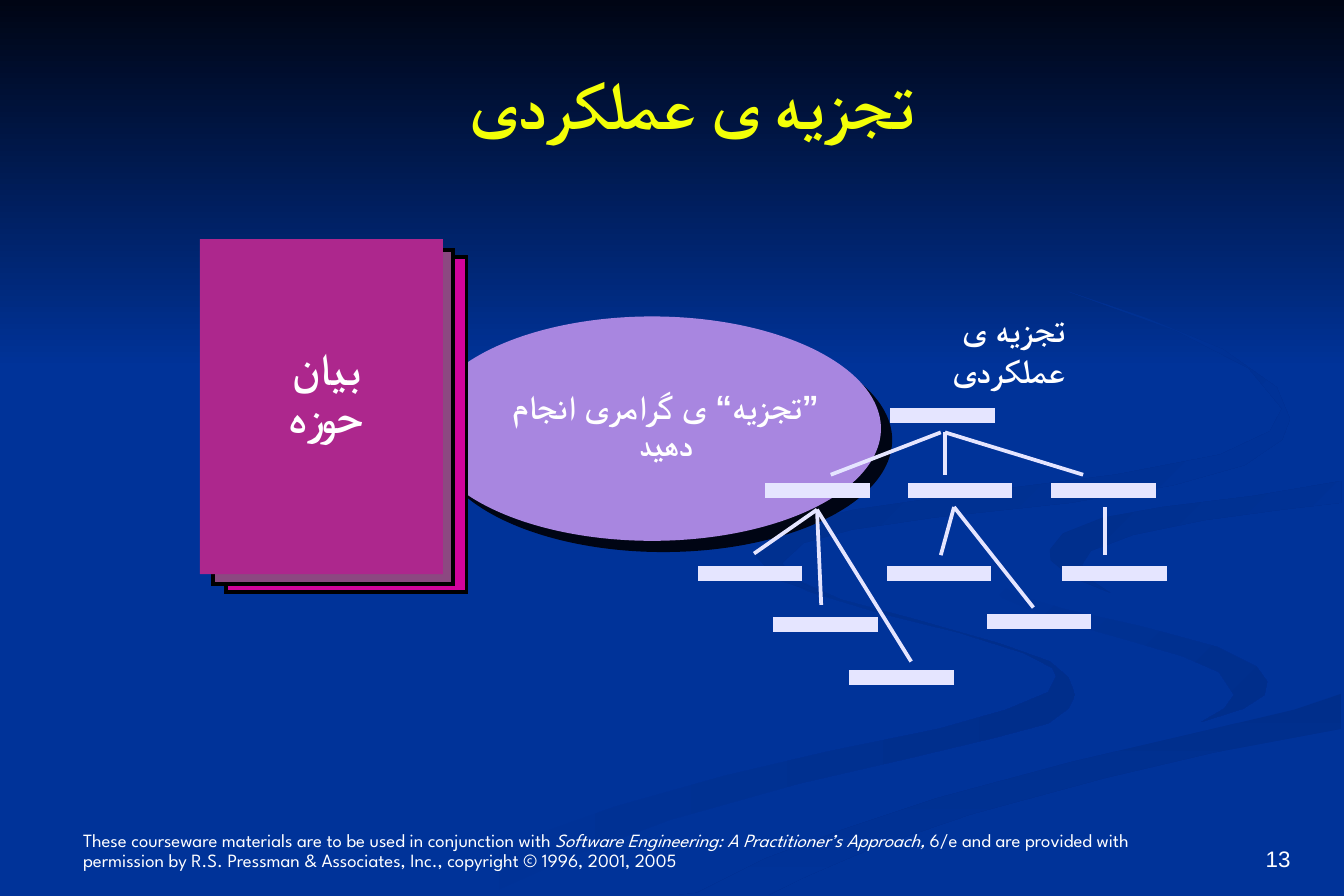
"""Build the functional decomposition slide."""
from lxml.etree import SubElement
from pptx import Presentation
from pptx.dml.color import RGBColor
from pptx.enum.shapes import MSO_CONNECTOR, MSO_SHAPE
from pptx.enum.text import MSO_ANCHOR, PP_ALIGN
from pptx.oxml.ns import qn
from pptx.util import Cm, Pt

BLUE = RGBColor(0x00, 0x33, 0x99)
NAVY = RGBColor(0x00, 0x2E, 0x8B)
NIGHT = RGBColor(0x00, 0x05, 0x14)
BLACK = RGBColor(0x00, 0x00, 0x00)
WHITE = RGBColor(0xFF, 0xFF, 0xFF)
YELLOW = RGBColor(0xF3, 0xFF, 0x07)
LILAC = RGBColor(0xA8, 0x86, 0xE0)
PALE = RGBColor(0xE5, 0xE5, 0xFF)
PINK = RGBColor(0xD1, 0x03, 0x9B)
MAUVE = RGBColor(0x8C, 0x48, 0x81)
PLUM = RGBColor(0xAD, 0x27, 0x8D)

deck = Presentation()
deck.slide_width, deck.slide_height = Cm(25.4), Cm(16.93)
slide = deck.slides.add_slide(deck.slide_layouts[6])
slide.background.fill.solid()
slide.background.fill.fore_color.rgb = BLUE
shapes = slide.shapes


def shade(shape, start, end, angle):
    shape.shadow.inherit = False
    shape.line.fill.background()
    shape.fill.gradient()
    shape.fill.gradient_angle = -angle % 360
    for stop, color in zip(shape.fill.gradient_stops, (start, end)):
        stop.color.rgb = color


def block(kind, box, color, edge=None, width=1):
    shape = shapes.add_shape(kind, *map(Cm, box))
    shape.shadow.inherit = False
    shape.fill.solid()
    shape.fill.fore_color.rgb = color
    if edge is None:
        shape.line.fill.background()
    else:
        shape.line.color.rgb = edge
        shape.line.width = Pt(width)
        SubElement(shape._element.spPr.find(qn("a:ln")), qn("a:miter"), lim="800000")
    return shape


sky = shapes.add_shape(MSO_SHAPE.RECTANGLE, 0, 0, deck.slide_width, Cm(6.96))
shade(sky, NIGHT, BLUE, 90)

swirls = [
    (BLUE, NAVY, 0, [
        (1984, 1250), (1892, 1217), (1732, 1171), (1590, 1133), (1509, 1097),
        (1471, 1069), (1461, 1039), (1448, 1062), (1463, 1085), (1529, 1118),
        (1661, 1158), (1814, 1196), (1935, 1234), (1989, 1262), (1996, 1278),
        (1981, 1308), (1902, 1341), (1775, 1377), (1565, 1420), (1369, 1466),
        (1163, 1524), (955, 1598), (762, 1692), (917, 1692), (1095, 1613),
        (1267, 1549), (1509, 1481), (1717, 1433), (1880, 1394), (1981, 1367),
        (2019, 1339), (2032, 1313), (2019, 1280)]),
    (BLUE, NAVY, 45, [
        (2395, 1288), (2375, 1260), (2299, 1222), (2159, 1184), (2012, 1151),
        (1925, 1125), (1862, 1090), (1839, 1049), (1847, 1082), (1895, 1130),
        (1984, 1168), (2129, 1209), (2235, 1240), (2304, 1270), (2332, 1313),
        (2314, 1339), (2271, 1364), (2350, 1339), (2390, 1313)]),
    (NAVY, BLUE, 90, [
        (1318, 1687), (1278, 1692), (1450, 1692), (1524, 1656), (1648, 1603),
        (1834, 1539), (2085, 1471), (2294, 1422), (2535, 1377), (2535, 1311),
        (2446, 1341), (2294, 1377), (2024, 1440), (1768, 1509), (1600, 1565),
        (1445, 1623)]),
    (NAVY, BLUE, 45, [
        (1984, 1039), (1986, 1059), (2024, 1090), (2098, 1120), (2055, 1092),
        (2045, 1067), (2062, 1041), (2141, 1011), (2276, 983), (2423, 963),
        (2535, 950), (2535, 909), (2370, 937), (2197, 958), (2085, 978),
        (2009, 1008)]),
    (NAVY, BLUE, 45, [
        (1765, 978), (2024, 950), (2217, 917), (2352, 879), (2423, 831),
        (2438, 792), (2413, 732), (2311, 660), (2169, 602), (2019, 551),
        (2223, 625), (2360, 696), (2423, 772), (2400, 815), (2306, 859),
        (2108, 897), (1831, 932), (1615, 963), (1488, 993), (1425, 1046),
        (1468, 1095), (1570, 1128), (1501, 1095), (1478, 1064), (1519, 1026),
        (1610, 1001)]),
]
for start, end, angle, points in swirls:
    pen = shapes.build_freeform(*points[0], scale=Cm(0.01))
    pen.add_line_segments(points[1:])
    shade(pen.convert_to_shape(), start, end, angle)

oval = block(MSO_SHAPE.OVAL, (8, 5.98, 8.65, 4.24), LILAC)
effect = oval._element.spPr.find(qn("a:effectLst"))
cast = SubElement(effect, qn("a:outerShdw"), dist=str(Pt(8.5)),
                  dir="2700000", algn="ctr", rotWithShape="0")
SubElement(cast, qn("a:srgbClr"), val=str(NIGHT))

sheets = [
    ((4.27, 4.86, 4.55, 6.33), PINK, BLACK),
    ((4.02, 4.73, 4.55, 6.31), MAUVE, BLACK),
    ((3.78, 4.52, 4.59, 6.33), PLUM, None),
]
for box, color, edge in sheets:
    block(MSO_SHAPE.RECTANGLE, box, color, edge, 2)

bars = [
    (16.84, 7.73), (14.48, 9.15), (17.17, 9.15), (19.89, 9.15),
    (13.21, 10.72), (14.63, 11.68), (16.07, 12.68), (16.78, 10.72),
    (18.67, 11.62), (20.09, 10.72),
]
for left, top in bars:
    block(MSO_SHAPE.RECTANGLE, (left, top, 1.94, 0.25), PALE, PALE)

hubs = [
    ((17.78, 8.17), [(15.7, 8.97)]),
    ((17.86, 8.17), [(17.86, 8.97), (20.47, 8.97)]),
    ((15.44, 9.63), [(14.25, 10.46), (15.52, 11.43), (17.22, 12.5)]),
    ((18.03, 9.58), [(17.78, 10.49), (19.53, 11.48)]),
    ((20.88, 9.58), [(20.88, 10.49)]),
]
for hub, ends in hubs:
    for end in ends:
        branch = shapes.add_connector(MSO_CONNECTOR.STRAIGHT, *map(Cm, hub + end))
        branch.line.color.rgb = PALE
        branch.line.width = Pt(2)
        SubElement(branch._element.spPr, qn("a:effectLst"))

note = [
    "These courseware materials are to be used in conjunction with ",
    "Software Engineering: A Practitioner’s Approach,",
    " 6/e and are provided with permission by R.S. Pressman & Associates, Inc.,"
    " copyright © 1996, 2001, 2005",
]
bold = {"name": "Arial", "bold": True}
mid, left, right = PP_ALIGN.CENTER, PP_ALIGN.LEFT, PP_ALIGN.RIGHT
top, low = MSO_ANCHOR.TOP, MSO_ANCHOR.BOTTOM
texts = [
    ((1.32, 15.43, 21.39, 1.17), [note], WHITE, True, low,
     {"name": "League Spartan", "size": Pt(10)},
     {"alignment": left, "line_spacing": 0.9}),
    ((22.89, 15.43, 1.75, 1.17), [["13"]], WHITE, True, low,
     {"name": "Arial", "size": Pt(12)}, {"alignment": right}),
    ((3.43, 1.14, 19.3, 1.6), [["تجزیه ی عملکردی"]], YELLOW, True,
     MSO_ANCHOR.MIDDLE, {"name": "Cambria", "size": Pt(36), "bold": True},
     {"alignment": mid}),
    ((17.42, 5.72, 3.3, 1.78), [["تجزیه ی "], ["عملکردی"]], WHITE, False, top,
     {**bold, "size": Pt(18)}, {"alignment": mid}),
    ((4.85, 6.43, 2.64, 2.08), [["بیان"], ["حوزه"]], WHITE, False, top,
     {**bold, "size": Pt(24)}, {"alignment": mid, "line_spacing": 0.9}),
    ((9.07, 7.26, 7.01, 1.63), [["”تجزیه“ ی گرامری انجام دهید"]], WHITE, True,
     top, {**bold, "size": Pt(18)}, {"alignment": mid, "line_spacing": 0.9}),
]
for box, paras, color, wrap, anchor, font, form in texts:
    frame = shapes.add_textbox(*map(Cm, box)).text_frame
    frame.word_wrap = wrap
    frame.vertical_anchor = anchor
    for row, parts in enumerate(paras):
        para = frame.add_paragraph() if row else frame.paragraphs[0]
        for key, value in form.items():
            setattr(para, key, value)
        if form["alignment"] == mid:
            para._p.get_or_add_pPr().set("rtl", "1")
        for spot, part in enumerate(parts):
            run = para.add_run()
            run.text = part
            run.font.color.rgb = color
            run.font.italic = spot == 1
            for key, value in font.items():
                setattr(run.font, key, value)
            SubElement(run._r.rPr, qn("a:cs"), typeface=font["name"])

deck.save("out.pptx")
